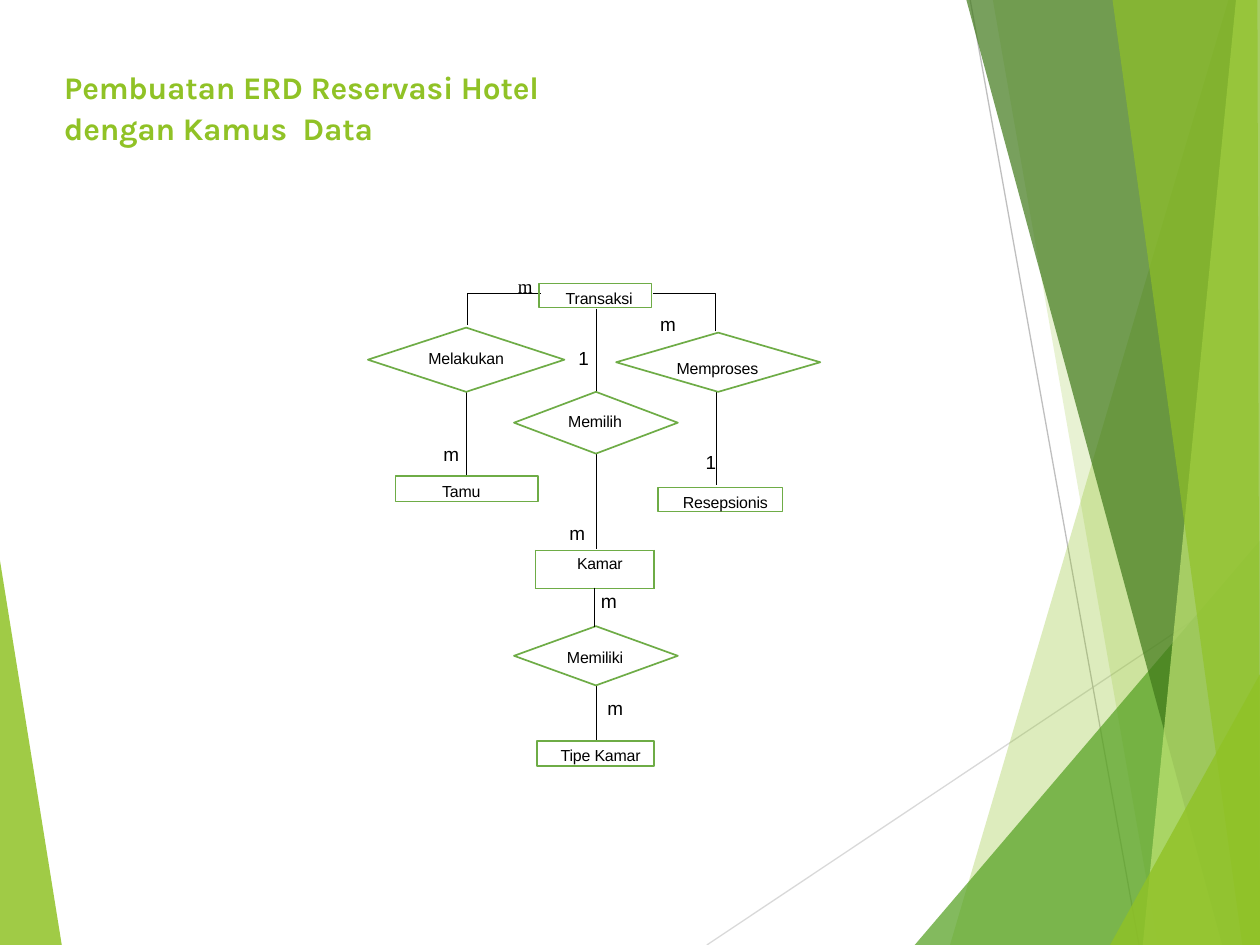
from lxml import etree
from pptx import Presentation
from pptx.dml.color import RGBColor
from pptx.enum import shapes, text
from pptx.oxml import ns
from pptx.util import Inches, Pt

GREEN, LIME, BLACK = "6EAC46", "90C226", "000000"


def rgb(value):
    return RGBColor.from_string(value)


def write(frame, words, size, left=0.01, top=0.01, before=0.8, font="Arial"):
    frame.word_wrap = True
    frame.auto_size = text.MSO_AUTO_SIZE.NONE
    frame.vertical_anchor = text.MSO_ANCHOR.TOP
    frame.margin_left = frame.margin_right = frame.margin_bottom = 0
    frame.margin_top = Inches(top)
    for number, line in enumerate(words.split("\n")):
        paragraph = frame.add_paragraph() if number else frame.paragraphs[0]
        paragraph.alignment = text.PP_ALIGN.LEFT
        paragraph.space_before = Pt(before)
        paragraph._p.get_or_add_pPr().set("marL", str(Inches(left)))
        run = paragraph.add_run()
        run.text = line
        run.font.name = font
        run.font.size = Pt(size)
        run.font.bold = font == "Karla"
        run.font.color.rgb = rgb(LIME if font == "Karla" else BLACK)
        run._r.get_or_add_rPr().set("spc", "-10")


deck = Presentation()
deck.slide_width, deck.slide_height = Inches(10), Inches(7.5)
slide = deck.slides.add_slide(deck.slide_layouts[6])
parts = slide.shapes

rays = [
    (5.61, 7.5, 10, 4.57, "D9D9D9", 0.75),
    (7.7, 0, 9.04, 7.5, "BFBFBF", 0.75),
]
facets = [
    ([(0, 4.45), (0.49, 7.5), (0, 7.5)], LIME, 85),
    ([(9.75, 0), (7.54, 7.5), (10, 7.5), (10, 0)], LIME, 30),
    ([(7.88, 0), (9.19, 7.5), (10, 7.5), (10, 0)], LIME, 20),
    ([(7.26, 7.5), (10, 4.29), (10, 7.5)], "54A021", 72),
    ([(7.67, 0), (9.7, 7.5), (10, 7.5), (10, 0)], "3F7819", 70),
    ([(9.81, 0), (9.07, 7.5), (10, 7.5), (10, 0)], "C0E474", 70),
    ([(8.83, 0), (9.86, 7.5), (10, 7.5), (9.98, 0)], LIME, 65),
    ([(8.81, 7.5), (10, 5.35), (10, 7.5)], LIME, 80),
]
relations = [
    (2.92, 2.6, 1.56, 0.51, "Melakukan", 3.39, 2.76),
    (4.89, 2.64, 1.62, 0.47, "Memproses", 5.36, 2.84),
    (4.08, 3.11, 1.3, 0.49, "Memilih", 4.5, 3.26),
    (4.08, 4.97, 1.3, 0.47, "Memiliki", 4.49, 5.13),
]
links = [
    (3.7, 3.11, 3.7, 3.78),
    (4.73, 2.45, 4.73, 3.11),
    (4.73, 3.6, 4.73, 4.36),
    (5.69, 3.11, 5.69, 3.85),
    (4.73, 5.44, 4.73, 5.87),
]
elbows = [
    [(3.71, 2.58), (3.71, 2.33), (4.29, 2.33)],
    [(5.68, 2.63), (5.68, 2.33), (5.18, 2.33)],
]
entities = [
    (4.28, 2.25, 0.89, 0.19, "Transaksi", 0.21),
    (3.14, 3.78, 1.13, 0.2, "Tamu", 0.37),
    (5.22, 3.87, 0.99, 0.19, "Resepsionis", 0.2),
    (4.26, 5.88, 0.93, 0.2, "Tipe Kamar", 0.19),
]
cardinalities = [
    (4.1, 2.17, "m", "Times New Roman"),
    (5.23, 2.47, "m", "Arial"),
    (4.58, 2.74, "1", "Arial"),
    (3.51, 3.5, "m", "Arial"),
    (5.59, 3.57, "1", "Arial"),
    (4.51, 4.13, "m", "Arial"),
    (4.81, 5.52, "m", "Arial"),
]

outlines = [(points, color, opacity) for points, color, opacity in facets]
outlines += [(elbow, None, None) for elbow in elbows]
strokes = rays + [link + (BLACK, 0.48) for link in links]
for x1, y1, x2, y2, color, width in strokes:
    stroke = parts.add_connector(
        shapes.MSO_CONNECTOR.STRAIGHT, Inches(x1), Inches(y1), Inches(x2), Inches(y2))
    stroke.line.color.rgb = rgb(color)
    stroke.line.width = Pt(width)
    etree.SubElement(stroke._element.spPr, ns.qn("a:effectLst"))

for points, color, opacity in outlines:
    start, *corners = [(Inches(x), Inches(y)) for x, y in points]
    builder = parts.build_freeform(*start)
    builder.add_line_segments(corners, close=color is not None)
    outline = builder.convert_to_shape()
    outline.shadow.inherit = False
    if color:
        outline.line.fill.background()
        outline.fill.solid()
        outline.fill.fore_color.rgb = rgb(color)
        tint = outline._element.spPr.find(".//" + ns.qn("a:srgbClr"))
        etree.SubElement(tint, ns.qn("a:alpha")).set("val", str(opacity * 1000))
    else:
        outline.fill.background()
        outline.line.color.rgb = rgb(BLACK)
        outline.line.width = Pt(0.48)

kinds = [(shapes.MSO_SHAPE.DIAMOND, relations), (shapes.MSO_SHAPE.RECTANGLE, entities)]
for kind, members in kinds:
    for x, y, width, height, name, *place in members:
        node = parts.add_shape(kind, Inches(x), Inches(y), Inches(width), Inches(height))
        node.shadow.inherit = False
        node.fill.background()
        node.line.color.rgb = rgb(GREEN)
        node.line.width = Pt(0.96)
        if kind == shapes.MSO_SHAPE.DIAMOND:
            label = parts.add_textbox(*map(Inches, place), Inches(0.7), Inches(0.16))
            write(label.text_frame, name, 9.1)
        else:
            write(node.text_frame, name, 9.1, left=place[0], top=0.04, before=3)

for x, y, mark, font in cardinalities:
    cardinality = parts.add_textbox(Inches(x), Inches(y), Inches(0.15), Inches(0.2))
    write(cardinality.text_frame, mark, 10.8, before=0.9, font=font)

room = parts.add_table(2, 2, Inches(4.25), Inches(4.37), Inches(0.94), Inches(0.6)).table
room.first_row = room.horz_banding = False
room.cell(0, 0).merge(room.cell(0, 1))
framed = dict.fromkeys(["lnL", "lnR", "lnT", "lnB"], (GREEN, 1))
borders = [
    [framed, framed],
    [{"lnT": (GREEN, 1), "lnR": (BLACK, 0.5)}, {"lnT": (GREEN, 1), "lnL": (BLACK, 0.5)}],
]
for row, edges_in_row in enumerate(borders):
    for column, edges in enumerate(edges_in_row):
        cell = room.cell(row, column)
        cell.margin_left = cell.margin_right = cell.margin_top = cell.margin_bottom = 0
        properties = cell._tc.get_or_add_tcPr()
        for side in framed:
            edge = etree.SubElement(properties, ns.qn("a:" + side))
            if side in edges:
                color, width = edges[side]
                edge.set("w", str(Pt(width)))
                paint = etree.SubElement(edge, ns.qn("a:solidFill"))
                etree.SubElement(paint, ns.qn("a:srgbClr")).set("val", color)
            else:
                etree.SubElement(edge, ns.qn("a:noFill"))
        cell.fill.background()
for row, column, words, size, left, top, before in [
        (0, 0, "Kamar", 9, 0.33, 0.04, 3.3), (1, 1, "m", 11, 0.05, 0.02, 1.6)]:
    cell = room.cell(row, column)
    write(cell.text_frame, words, size, left, 0, before)
    cell.margin_top = Inches(top)

title = parts.add_textbox(Inches(0.4), Inches(0.49), Inches(4.89), Inches(0.73))
write(title.text_frame, "Pembuatan ERD Reservasi Hotel\ndengan Kamus  Data", 18,
      left=0.11, top=0.05, before=1.8, font="Karla")

deck.save("out.pptx")
